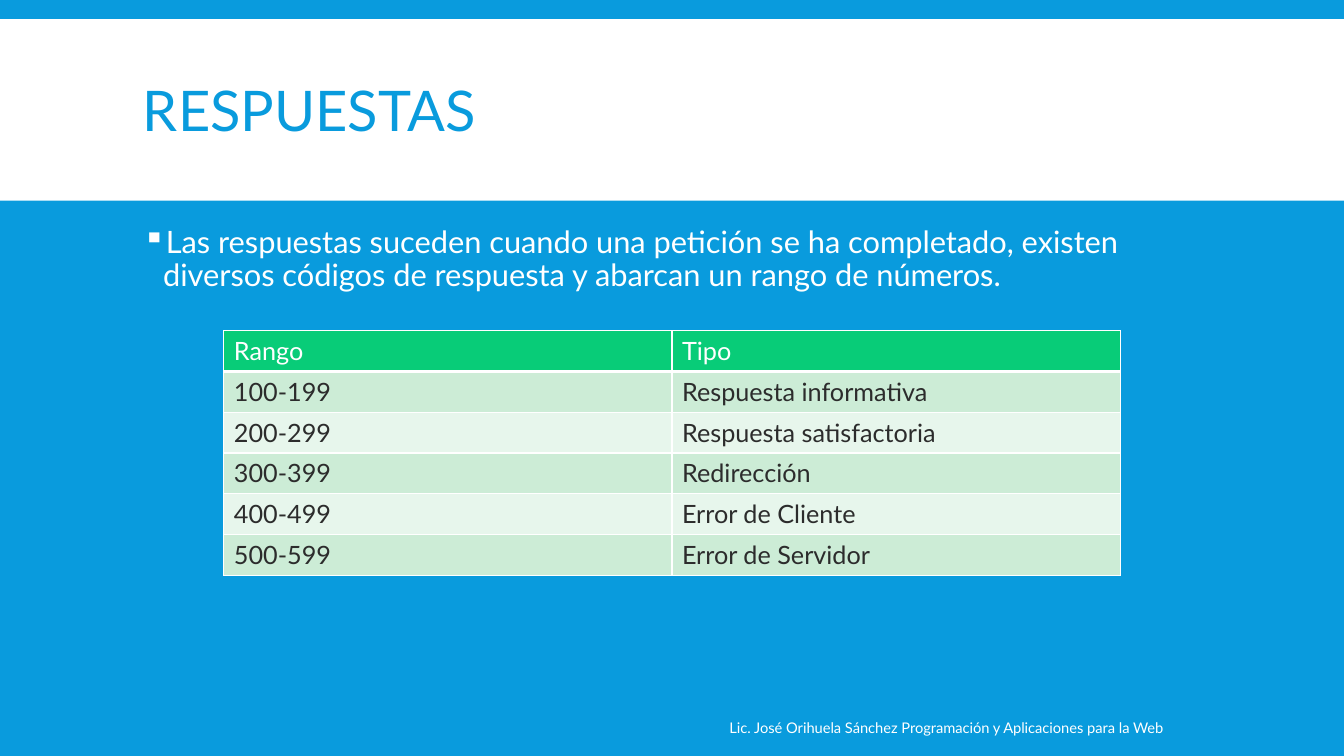
from lxml.etree import SubElement
from pptx import Presentation
from pptx.dml.color import RGBColor as RGB
from pptx.enum.shapes import MSO_SHAPE as SHAPE
from pptx.enum.text import MSO_ANCHOR as ANCHOR, PP_ALIGN as ALIGN
from pptx.oxml.ns import qn
from pptx.util import Inches, Pt

COLORS = {
    "blue": "099BDD",
    "white": "FFFFFF",
    "green": "08CC78",
    "band": "CCECD6",
    "pale": "E7F6EC",
    "ink": "2C2C2C",
}
ROWS = [
    ("Rango", "Tipo"),
    ("100-199", "Respuesta informativa"),
    ("200-299", "Respuesta satisfactoria"),
    ("300-399", "Redirección"),
    ("400-499", "Error de Cliente"),
    ("500-599", "Error de Servidor"),
]


def write(frame, text, size, color="white", align=ALIGN.LEFT, spacing=1.0):
    frame.word_wrap = True
    para = frame.paragraphs[0]
    para.alignment = align
    para.line_spacing = spacing
    span = para.add_run()
    span.text = text
    span.font.name = "Lato"
    span.font.size = Pt(size)
    span.font.color.rgb = RGB.from_string(COLORS[color])
    return para


def add_border(cell, side, width):
    line = SubElement(cell._tc.get_or_add_tcPr(), qn(f"a:ln{side}"), w=str(Pt(width)))
    fill = SubElement(line, qn("a:solidFill"))
    SubElement(fill, qn("a:srgbClr"), val=COLORS["white"])


deck = Presentation()
deck.slide_width, deck.slide_height = Inches(13.33), Inches(7.5)
page = deck.slides.add_slide(deck.slide_layouts[6])
page.background.fill.solid()
page.background.fill.fore_color.rgb = RGB.from_string(COLORS["blue"])

banner = page.shapes.add_shape(SHAPE.RECTANGLE, 0, Inches(0.19), deck.slide_width, Inches(1.8))
banner.shadow.inherit = False
banner.fill.solid()
banner.fill.fore_color.rgb = RGB.from_string(COLORS["white"])
banner.line.fill.background()

title = page.shapes.add_textbox(Inches(1.32), Inches(0.31), Inches(10.7), Inches(1.65))
title.text_frame.vertical_anchor = ANCHOR.MIDDLE
write(title.text_frame, "RESPUESTAS", 40, color="blue", spacing=0.85)

body = page.shapes.add_textbox(Inches(1.32), Inches(2.2), Inches(10.7), Inches(4.6))
para = write(
    body.text_frame,
    "Las respuestas suceden cuando una petición se ha completado, existen "
    "diversos códigos de respuesta y abarcan un rango de números.",
    22,
    spacing=0.9,
)
para.space_before, para.space_after = Pt(12), Pt(2)
layout = para._p.get_or_add_pPr()
layout.set("marL", str(Inches(0.2)))
layout.set("indent", str(-Inches(0.2)))
bullet_color = SubElement(layout, qn("a:buClr"))
SubElement(bullet_color, qn("a:srgbClr"), val=COLORS["white"])
SubElement(layout, qn("a:buChar"), char="▪")

footer = page.shapes.add_textbox(Inches(6.12), Inches(7.02), Inches(5.52), Inches(0.4))
footer.text_frame.vertical_anchor = ANCHOR.MIDDLE
write(
    footer.text_frame,
    "Lic. José Orihuela Sánchez Programación y Aplicaciones para la Web",
    10.5,
    align=ALIGN.RIGHT,
)

table = page.shapes.add_table(
    len(ROWS), 2, Inches(2.22), Inches(3.28), Inches(8.89), Inches(2.43)
).table
for row, texts in enumerate(ROWS):
    header = row == 0
    fill = "green" if header else "band" if row % 2 else "pale"
    for column, text in enumerate(texts):
        cell = table.cell(row, column)
        for side in "LRTB":
            add_border(cell, side, 3 if header and side == "B" else 1)
        cell.fill.solid()
        cell.fill.fore_color.rgb = RGB.from_string(COLORS[fill])
        write(cell.text_frame, text, 18, color="white" if header else "ink")

deck.save("out.pptx")
